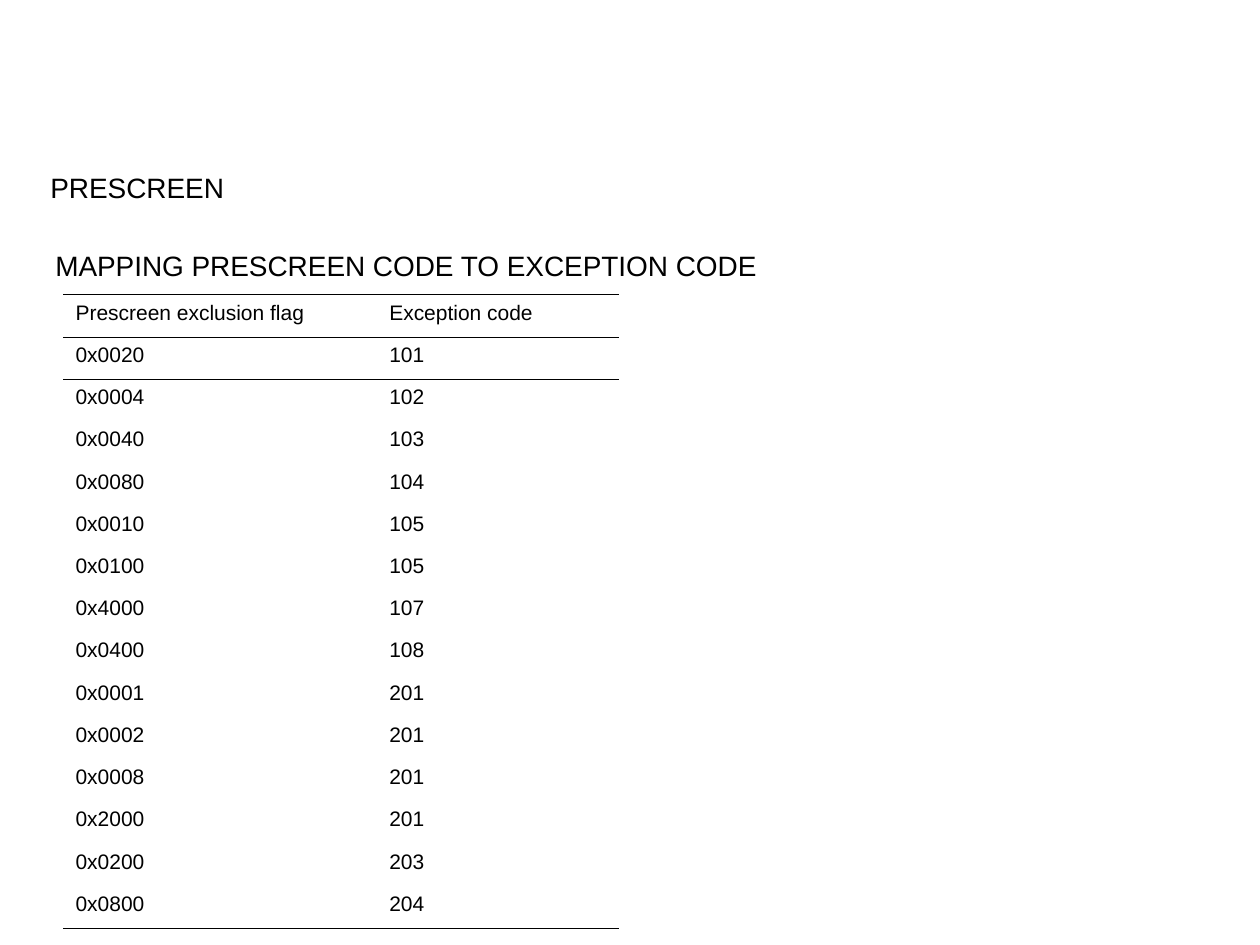
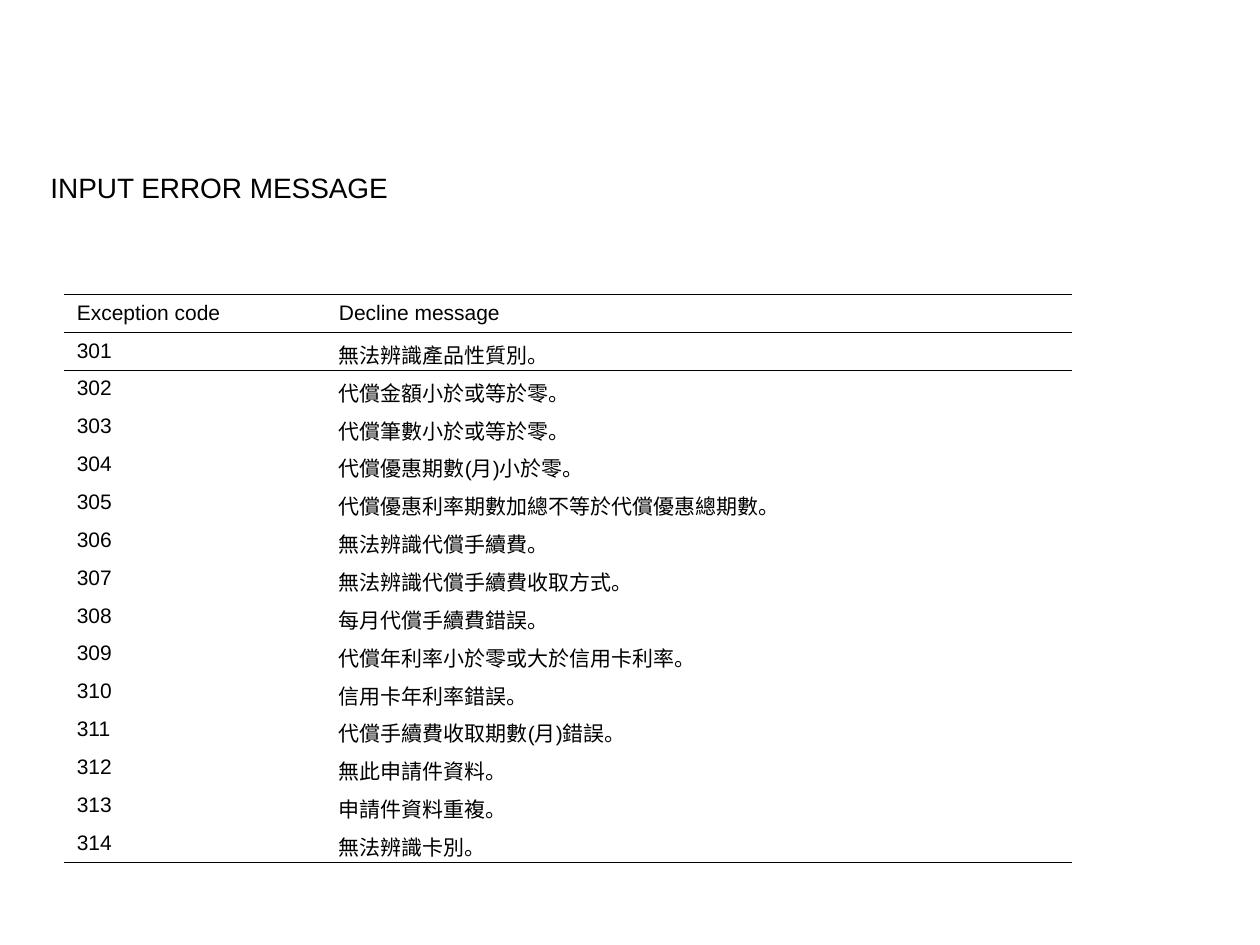
"""Build two slides that list prescreen and input error exception codes."""
from dataclasses import dataclass

from lxml.etree import SubElement
from pptx import Presentation
from pptx.dml.color import RGBColor
from pptx.enum.text import MSO_ANCHOR, MSO_AUTO_SIZE, PP_ALIGN
from pptx.oxml.ns import qn
from pptx.util import Inches, Pt


@dataclass(frozen=True)
class Theme:
    ink: str = "000000"
    paper: str = "FFFFFF"
    font: str = "Arial"
    heading: float = 16
    cell: float = 12
    outer_rule: float = 0.75
    header_rule: float = 0.45
    plain_table: str = "{2D5ABB26-0587-4C30-8999-92F81FD0307C}"


THEME = Theme()
TITLE_BOX = (0.3, 1.3, 9.29, 0.37)
SUBTITLE_BOX = (0.34, 1.92, 5.78, 0.37)
TABLE_TOP = 2.34

SLIDES = [
    {
        "title": "PRESCREEN",
        "subtitle": "MAPPING PRESCREEN CODE TO EXCEPTION CODE",
        "left": 0.5,
        "height": 5.03,
        "cols": (2.49, 1.92),
        "rows": [
            ("Prescreen exclusion flag", "Exception code"),
            ("0x0020", "101"),
            ("0x0004", "102"),
            ("0x0040", "103"),
            ("0x0080", "104"),
            ("0x0010", "105"),
            ("0x0100", "105"),
            ("0x4000", "107"),
            ("0x0400", "108"),
            ("0x0001", "201"),
            ("0x0002", "201"),
            ("0x0008", "201"),
            ("0x2000", "201"),
            ("0x0200", "203"),
            ("0x0800", "204"),
        ],
    },
    {
        "title": "INPUT ERROR MESSAGE",
        "left": 0.51,
        "height": 4.48,
        "cols": (2.08, 5.92),
        "rows": [
            ("Exception code", "Decline message"),
            ("301", "無法辨識產品性質別。"),
            ("302", "代償金額小於或等於零。"),
            ("303", "代償筆數小於或等於零。"),
            ("304", "代償優惠期數(月)小於零。"),
            ("305", "代償優惠利率期數加總不等於代償優惠總期數。"),
            ("306", "無法辨識代償手續費。"),
            ("307", "無法辨識代償手續費收取方式。"),
            ("308", "每月代償手續費錯誤。"),
            ("309", "代償年利率小於零或大於信用卡利率。"),
            ("310", "信用卡年利率錯誤。"),
            ("311", "代償手續費收取期數(月)錯誤。"),
            ("312", "無此申請件資料。"),
            ("313", "申請件資料重複。"),
            ("314", "無法辨識卡別。"),
        ],
    },
]


def set_attrs(obj, values):
    for name, value in values.items():
        setattr(obj, name, value)


def write(tf, text, size):
    p = tf.paragraphs[0]
    p.alignment = PP_ALIGN.LEFT
    r = p.add_run()
    r.text = text
    set_attrs(r.font, {"name": THEME.font, "size": Pt(size), "bold": False})
    r.font.color.rgb = RGBColor.from_string(THEME.ink)


def fill_heading(sp, text, box, wrap):
    lengths = map(Inches, box)
    set_attrs(sp, dict(zip(("left", "top", "width", "height"), lengths)))
    set_attrs(sp.text_frame, {
        "word_wrap": wrap,
        "auto_size": MSO_AUTO_SIZE.SHAPE_TO_FIT_TEXT,
        "vertical_anchor": MSO_ANCHOR.TOP,
    })
    write(sp.text_frame, text, THEME.heading)


def add_rule(cell, side, width):
    ln = SubElement(cell._tc.get_or_add_tcPr(), qn(f"a:ln{side}"), w=str(Pt(width)))
    fill = SubElement(ln, qn("a:solidFill"))
    SubElement(fill, qn("a:srgbClr"), val=THEME.ink)


def rules_for(row, last):
    if row == 0:
        return {"T": THEME.outer_rule, "B": THEME.header_rule}
    if row == 1:
        return {"T": THEME.header_rule}
    return {"B": THEME.outer_rule} if row == last else {}


def add_code_table(s, left, height, cols, rows):
    frame = s.shapes.add_table(
        len(rows), len(cols), Inches(left), Inches(TABLE_TOP),
        Inches(sum(cols)), Inches(height))
    table = frame.table
    set_attrs(table, {"first_row": False, "horz_banding": False})
    table._tbl.tblPr.find(qn("a:tableStyleId")).text = THEME.plain_table
    for column, width in zip(table.columns, cols):
        column.width = Inches(width)
    for i, values in enumerate(rows):
        table.rows[i].height = Inches(height / len(rows))
        for j, text in enumerate(values):
            cell = table.cell(i, j)
            write(cell.text_frame, text, THEME.cell)
            for side, width in rules_for(i, len(rows) - 1).items():
                add_rule(cell, side, width)
            cell.fill.background()


def main():
    prs = Presentation()
    set_attrs(prs, {"slide_width": Inches(10), "slide_height": Inches(7.5)})
    fill = prs.slide_master.background.fill
    fill.solid()
    fill.fore_color.rgb = RGBColor.from_string(THEME.paper)
    for content in SLIDES:
        s = prs.slides.add_slide(prs.slide_layouts.get_by_name("Title Only"))
        fill_heading(s.shapes.title, content["title"], TITLE_BOX, True)
        if "subtitle" in content:
            sp = s.shapes.add_textbox(*map(Inches, SUBTITLE_BOX))
            fill_heading(sp, content["subtitle"], SUBTITLE_BOX, False)
        add_code_table(s, *(content[k] for k in ("left", "height", "cols", "rows")))
    prs.save("out.pptx")


if __name__ == "__main__":
    main()
